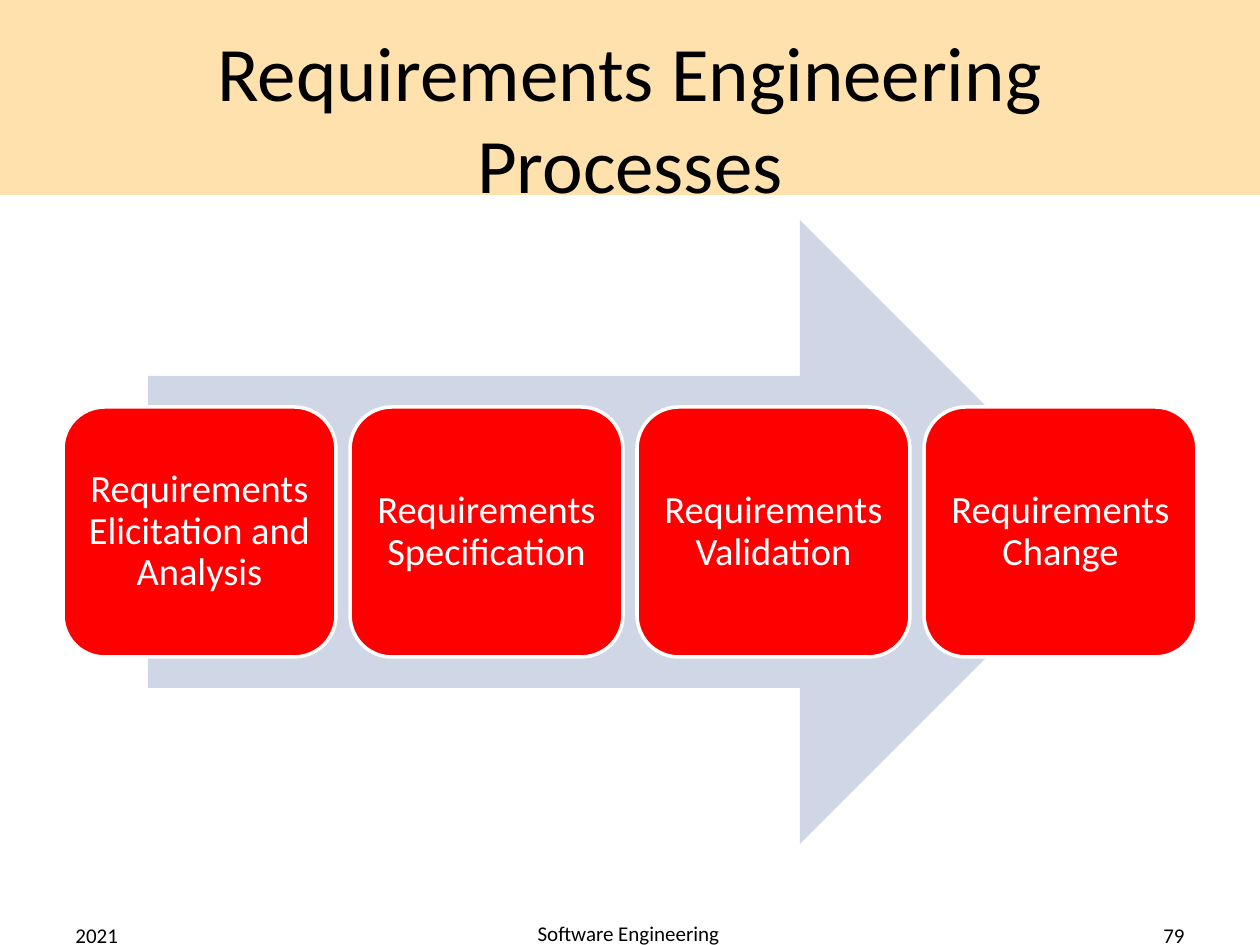
from pptx import Presentation
from pptx.dml.color import RGBColor
from pptx.enum.shapes import MSO_SHAPE
from pptx.enum.text import MSO_ANCHOR, MSO_AUTO_SIZE, PP_ALIGN
from pptx.util import Emu, Pt

TITLE = "Requirements Engineering Processes"
STEPS = [
    "Requirements Elicitation and Analysis",
    "Requirements Specification",
    "Requirements Validation",
    "Requirements Change",
]
# text, (left, top, width, height), alignment
FOOTERS = [
    ("2021", (63, 910, 294, 50), PP_ALIGN.LEFT),
    ("Software Engineering", (340, 912, 577, 42), PP_ALIGN.CENTER),
    ("79", (903, 910, 294, 50), PP_ALIGN.RIGHT),
]
BLACK, WHITE, RED = "000000", "FFFFFF", "FF0000"
BAND, ARROW = "FFE1AD", "CFD7E7"
LEFT, RIGHT, CARD_W, CARD_TOP, CARD_H = 63, 1197, 273, 407, 250


def px(n):
    return Emu(round(n * 914400 / 126))


def color(hex_text):
    return RGBColor.from_string(hex_text)


def write(sp, text, size, hex_color, align=PP_ALIGN.CENTER):
    tf = sp.text_frame
    tf.word_wrap = True
    tf.auto_size = MSO_AUTO_SIZE.NONE
    tf.vertical_anchor = MSO_ANCHOR.MIDDLE
    p = tf.paragraphs[0]
    p.alignment = align
    r = p.add_run()
    r.text = text
    r.font.name = "Calibri"
    r.font.size = Pt(size)
    r.font.color.rgb = color(hex_color)
    return tf


def add_shape(s, kind, box, fill, line=None):
    sp = s.shapes.add_shape(kind, *map(px, box))
    sp.shadow.inherit = False
    sp.fill.solid()
    sp.fill.fore_color.rgb = color(fill)
    if line:
        sp.line.color.rgb = color(line)
        sp.line.width = Pt(2)
    else:
        sp.line.fill.background()
    return sp


prs = Presentation()
prs.slide_width, prs.slide_height = px(1260), px(945)
s = prs.slides.add_slide(prs.slide_layouts[5])

# Title on its band
title = s.shapes.title
title.left, title.top, title.width, title.height = map(px, (63, 38, 1134, 157))
write(title, TITLE, 44, BLACK)
band = add_shape(s, MSO_SHAPE.RECTANGLE, (0, 0, 1260, 195), BAND)
title._element.addprevious(band._element)

# Arrow behind the process steps
add_shape(s, MSO_SHAPE.RIGHT_ARROW, (148, 220, 964, 624), ARROW)

# Process steps, evenly spread
pitch = (RIGHT - LEFT - CARD_W) / (len(STEPS) - 1)
for i, step in enumerate(STEPS):
    box = (LEFT + i * pitch, CARD_TOP, CARD_W, CARD_H)
    card = add_shape(s, MSO_SHAPE.ROUNDED_RECTANGLE, box, RED, WHITE)
    tf = write(card, step, 22, WHITE)
    tf.margin_left = tf.margin_right = tf.margin_top = tf.margin_bottom = px(11)
    tf.paragraphs[0].line_spacing = 0.9

# Footer
for text, box, align in FOOTERS:
    write(s.shapes.add_textbox(*map(px, box)), text, 12, BLACK, align)

prs.save("out.pptx")
